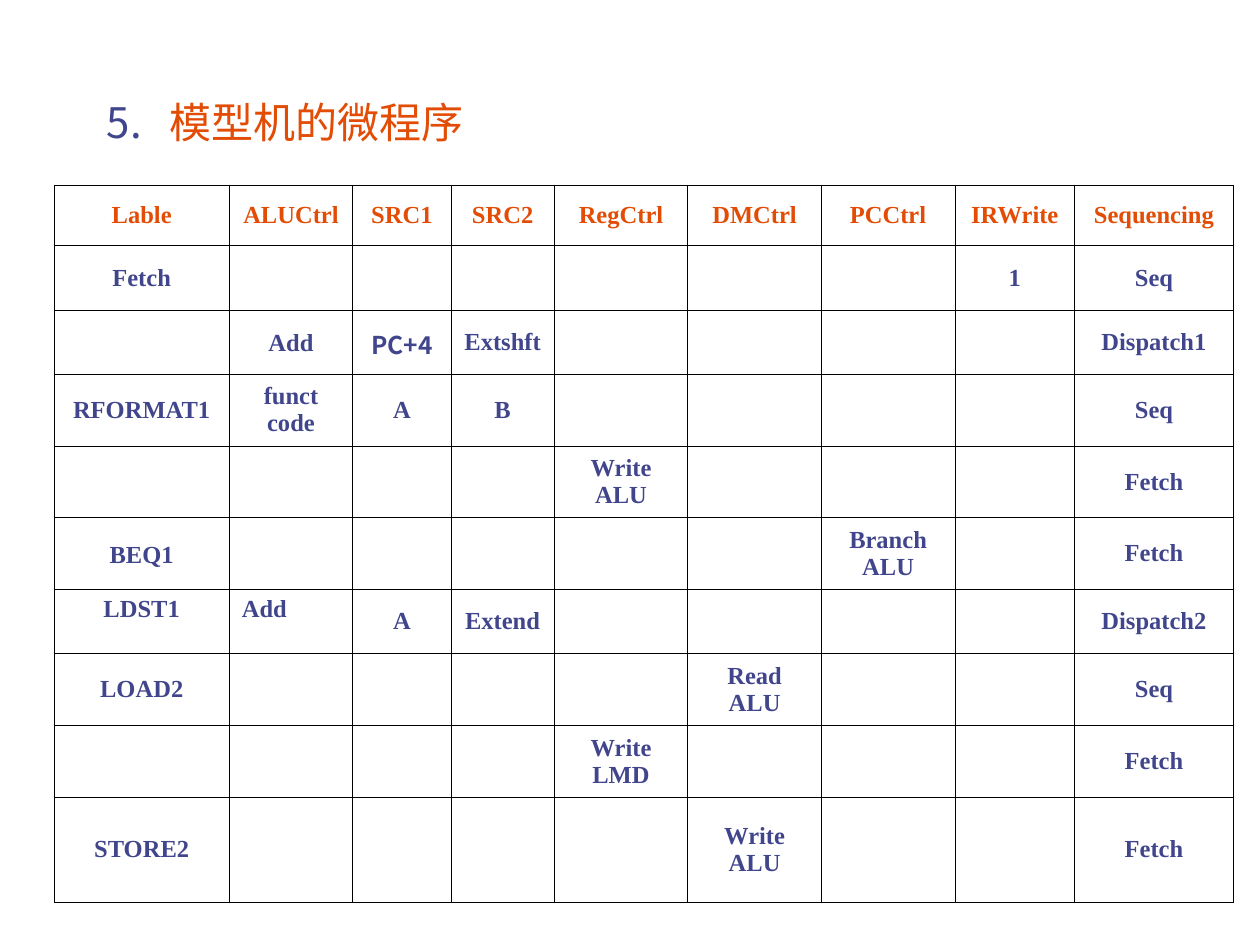
from lxml.etree import SubElement
from pptx import Presentation
from pptx.dml.color import RGBColor
from pptx.enum.text import MSO_ANCHOR as Anchor, PP_ALIGN as Align
from pptx.oxml.ns import qn
from pptx.util import Inches, Pt

ORANGE = RGBColor(0xE2, 0x4C, 0x05)
INDIGO = RGBColor(0x40, 0x45, 0x8C)
BLACK = RGBColor(0, 0, 0)
CJK_FONT = "Noto Sans CJK SC"


def add_borders(cell):
    properties = cell._tc.get_or_add_tcPr()
    for position, side in enumerate(("lnL", "lnR", "lnT", "lnB")):
        line = SubElement(properties, qn(f"a:{side}"), w=str(Pt(0.45)))
        fill = SubElement(line, qn("a:solidFill"))
        SubElement(fill, qn("a:srgbClr"), val=str(BLACK))
        properties.insert(position, line)


def style_run(span, size, name, color, bold=False):
    span.font.size = Pt(size)
    span.font.name = name
    span.font.bold = bold
    span.font.color.rgb = color
    SubElement(span._r.get_or_add_rPr(), qn("a:ea"), typeface=CJK_FONT)


deck = Presentation()
deck.slide_width, deck.slide_height = Inches(10), Inches(7.5)
page = deck.slides.add_slide(deck.slide_layouts[6])

# Numbered heading
box = page.shapes.add_textbox(Inches(0.75), Inches(0.68), Inches(8.5), Inches(0.61))
box.text_frame.word_wrap = True
para = box.text_frame.paragraphs[0]
para.text = "模型机的微程序"
indents = para._p.get_or_add_pPr()
indents.set("marL", str(Inches(0.5)))
indents.set("indent", str(Inches(-0.5)))
bullet_color = SubElement(indents, qn("a:buClr"))
SubElement(bullet_color, qn("a:srgbClr"), val=str(INDIGO))
SubElement(indents, qn("a:buAutoNum"), type="arabicPeriod", startAt="5")
para.line_spacing = 1.1
style_run(para.runs[0], 24, "Cabin", ORANGE)

# Microprogram table
column_widths = [1.39, 0.98, 0.78, 0.82, 1.06, 1.06, 1.06, 0.95, 1.26]
row_heights = [0.48, 0.51, 0.51, 0.57, 0.57, 0.57, 0.51, 0.57, 0.57, 0.83]
microprogram = [
    ["Lable", "ALUCtrl", "SRC1", "SRC2", "RegCtrl", "DMCtrl", "PCCtrl", "IRWrite", "Sequencing"],
    ["Fetch", "", "", "", "", "", "", "1", "Seq"],
    ["", "Add", "PC+4", "Extshft", "", "", "", "", "Dispatch1"],
    ["RFORMAT1", "funct code", "A", "B", "", "", "", "", "Seq"],
    ["", "", "", "", "Write ALU", "", "", "", "Fetch"],
    ["BEQ1", "", "", "", "", "", "Branch ALU", "", "Fetch"],
    ["LDST1", "Add", "A", "Extend", "", "", "", "", "Dispatch2"],
    ["LOAD2", "", "", "", "", "Read ALU", "", "", "Seq"],
    ["", "", "", "", "Write LMD", "", "", "", "Fetch"],
    ["STORE2", "", "", "", "", "Write ALU", "", "", "Fetch"],
]
loose_cells = {(2, 1), (2, 2), (5, 0)}
top_cells = {(6, 0), (6, 1)}

table = page.shapes.add_table(
    len(row_heights), len(column_widths), Inches(0.43), Inches(1.47),
    Inches(sum(column_widths)), Inches(sum(row_heights))).table
table.first_row = table.horz_banding = False
for column, width in zip(table.columns, column_widths):
    column.width = Inches(width)
for row, height in zip(table.rows, row_heights):
    row.height = Inches(height)

for row_index, entries in enumerate(microprogram):
    for column_index, entry in enumerate(entries):
        place = (row_index, column_index)
        cell = table.cell(*place)
        cell.fill.background()
        add_borders(cell)
        cell.vertical_anchor = Anchor.TOP if place in top_cells else Anchor.MIDDLE
        if not entry:
            continue
        para = cell.text_frame.paragraphs[0]
        para.text = entry
        para.alignment = Align.LEFT if place == (6, 1) else Align.CENTER
        if place in loose_cells:
            para.line_spacing = 1.1
        style_run(para.runs[0], 14,
                  CJK_FONT if entry == "PC+4" else "Times New Roman",
                  ORANGE if row_index == 0 else INDIGO, bold=True)

deck.save("out.pptx")
